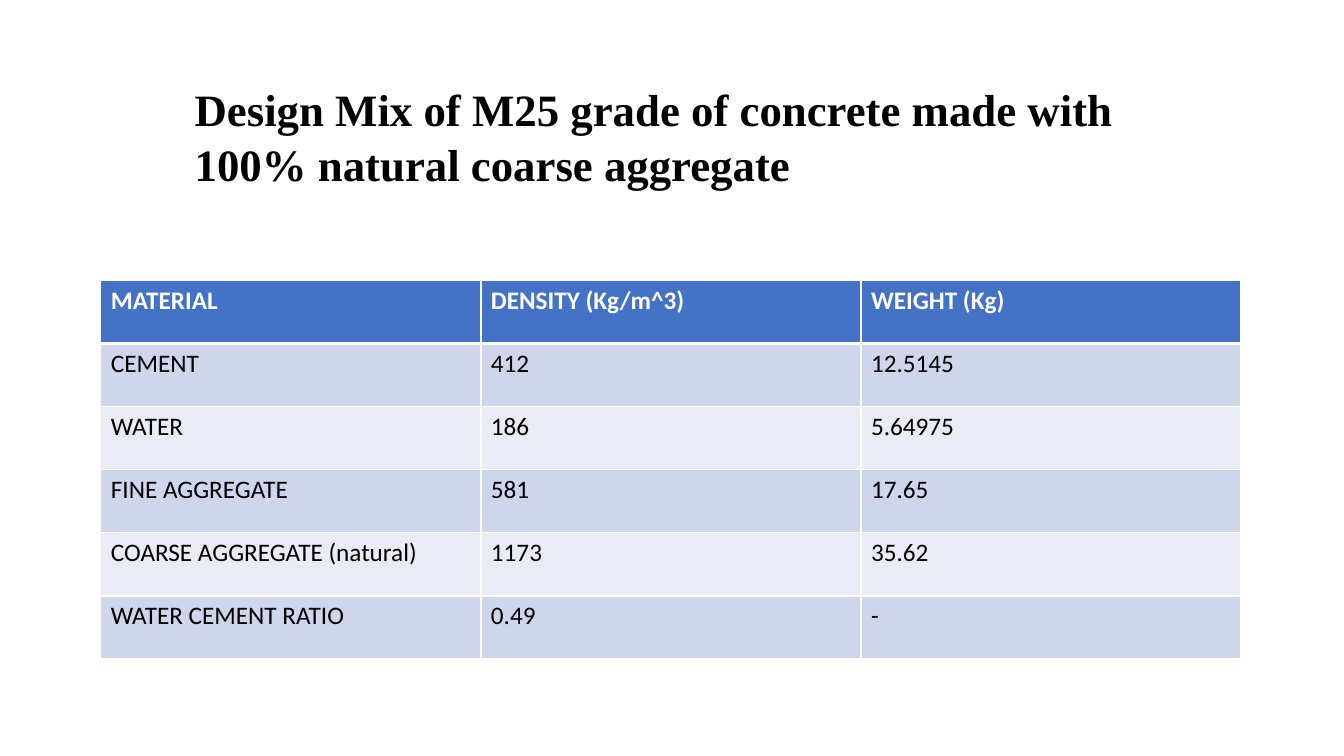
from lxml import etree
from pptx import Presentation
from pptx.dml.color import RGBColor
from pptx.enum.text import MSO_ANCHOR, PP_ALIGN
from pptx.oxml.ns import qn
from pptx.util import Inches, Pt

LEFT = PP_ALIGN.LEFT
TOP = MSO_ANCHOR.TOP

BLACK = RGBColor(0x00, 0x00, 0x00)
WHITE = RGBColor(0xFF, 0xFF, 0xFF)
HEADER_BLUE = RGBColor(0x44, 0x72, 0xC4)
BANDS = (RGBColor(0xCF, 0xD5, 0xEA), RGBColor(0xE9, 0xEB, 0xF5))

TITLE = "Design Mix of M25 grade of concrete made with 100% natural coarse aggregate"
TITLE_FONT = {"name": "Times New Roman", "size": Pt(32), "bold": True}
HEADER_FONT = {"name": "Calibri", "size": Pt(18), "bold": True}
BODY_FONT = {**HEADER_FONT, "bold": False}

MIX_ROWS = [
    ("MATERIAL", "DENSITY (Kg/m^3)", "WEIGHT (Kg)"),
    ("CEMENT", "412", "12.5145"),
    ("WATER", "186", "5.64975"),
    ("FINE AGGREGATE", "581", "17.65"),
    ("COARSE AGGREGATE (natural)", "1173", "35.62"),
    ("WATER CEMENT RATIO", "0.49", "-"),
]


def set_attributes(target, values):
    for name, value in values.items():
        setattr(target, name, value)


def write_text(frame, text, font_values, color):
    paragraph = frame.paragraphs[0]
    paragraph.alignment = LEFT
    run = paragraph.add_run()
    run.text = text
    set_attributes(run.font, font_values)
    run.font.color.rgb = color
    return paragraph


def set_borders(cell, widths):
    """Draw white cell borders; widths maps a side tag to points."""
    properties = cell._tc.get_or_add_tcPr()
    for index, (side, width) in enumerate(widths.items()):
        line = etree.Element(qn(f"a:{side}"), w=str(Pt(width)))
        fill = etree.SubElement(line, qn("a:solidFill"))
        etree.SubElement(fill, qn("a:srgbClr"), val=str(WHITE))
        properties.insert(index, line)


def add_title(slide):
    box = slide.shapes.add_textbox(Inches(1.39), Inches(0.69), Inches(11.31), Inches(1.18))
    frame = box.text_frame
    # The wide right margin keeps "100%" on the second line
    set_attributes(frame, {
        "word_wrap": True,
        "vertical_anchor": TOP,
        "margin_left": Inches(0.54),
        "margin_right": Inches(1),
        "margin_top": Inches(0.1),
    })
    paragraph = write_text(frame, TITLE, TITLE_FONT, BLACK)
    paragraph.line_spacing = 1.03


def add_mix_table(slide):
    table = slide.shapes.add_table(
        len(MIX_ROWS), len(MIX_ROWS[0]),
        Inches(1), Inches(2.78), Inches(11.31), Inches(3.76),
    ).table
    for row_index, values in enumerate(MIX_ROWS):
        is_header = row_index == 0
        fill_color = HEADER_BLUE if is_header else BANDS[(row_index - 1) % 2]
        font_values = HEADER_FONT if is_header else BODY_FONT
        text_color = WHITE if is_header else BLACK
        # The rule under the header is thicker than the others
        widths = {
            "lnL": 1,
            "lnR": 1,
            "lnT": 3 if row_index == 1 else 1,
            "lnB": 3 if is_header else 1,
        }
        for column_index, value in enumerate(values):
            cell = table.cell(row_index, column_index)
            cell.fill.solid()
            cell.fill.fore_color.rgb = fill_color
            cell.vertical_anchor = TOP
            write_text(cell.text_frame, value, font_values, text_color)
            set_borders(cell, widths)


def main():
    presentation = Presentation()
    presentation.slide_width = Inches(13.33)
    presentation.slide_height = Inches(7.5)
    slide = presentation.slides.add_slide(presentation.slide_layouts[6])
    add_title(slide)
    add_mix_table(slide)
    presentation.save("out.pptx")


if __name__ == "__main__":
    main()
